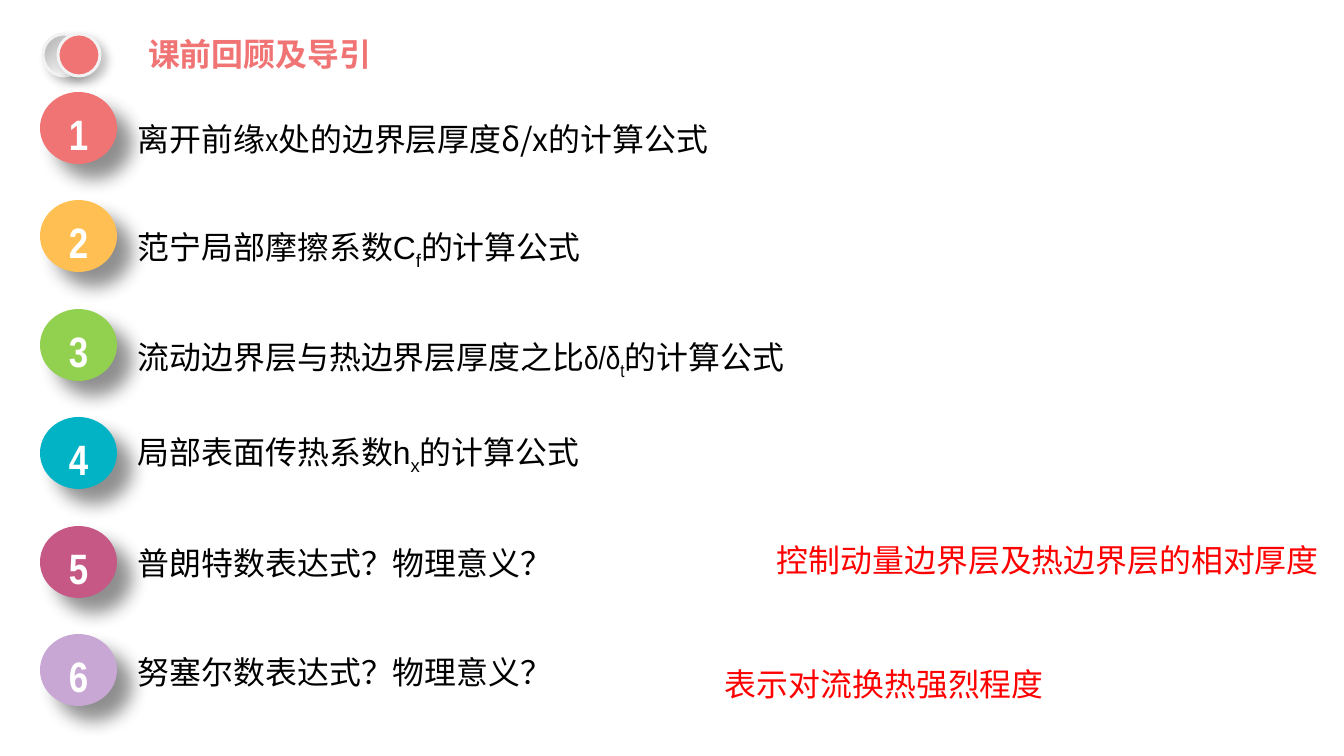
import pptx
import pptx.dml.color
import pptx.enum.shapes
import pptx.enum.text
import pptx.oxml
import pptx.oxml.ns
import pptx.util

SCALE = 914400 / 95.6
COLORS = {
    "coral": "F17475", "amber": "FFBF53", "green": "92D050",
    "teal": "01B3C5", "plum": "C65885", "lilac": "C8A7D4",
    "black": "000000", "red": "FF0000", "white": "FFFFFF",
    "silver": "BFBFBF", "rim": "F2F2F2",
}
NARROW = "Arial Narrow"
SANS = "Arial"
CHINESE = "Noto Sans CJK SC"
BALL_SHADOW = (43, 14, 16)
BADGE_SHADOW = (23, 7, 5.9)


def px(length):
    return pptx.util.Emu(round(length * SCALE))


def rgb(name):
    return pptx.dml.color.RGBColor.from_string(COLORS[name])


def add_span(para, text, size=24, font=NARROW, color="black", bold=False, subscript=False):
    span = para.add_run()
    span.text = text
    span.font.size = pptx.util.Pt(size)
    span.font.bold = bold
    span.font.color.rgb = rgb(color)
    span.font.name = font
    properties = span._r.get_or_add_rPr()
    east_asian = pptx.oxml.parse_xml(
        f'<a:ea {pptx.oxml.ns.nsdecls("a")} typeface="{CHINESE}"/>')
    properties.find(pptx.oxml.ns.qn("a:latin")).addnext(east_asian)
    if subscript:
        properties.set("baseline", "-25000")


class ReviewSlide:
    def __init__(self, deck):
        self.page = deck.slides.add_slide(deck.slide_layouts[5])
        self.align = pptx.enum.text.PP_ALIGN
        self.anchor = pptx.enum.text.MSO_ANCHOR

    def frame(self, box, anchor, margins=(0, 0)):
        frame = box.text_frame
        frame.word_wrap = True
        frame.auto_size = pptx.enum.text.MSO_AUTO_SIZE.NONE
        frame.vertical_anchor = anchor
        frame.margin_left = frame.margin_right = px(margins[0])
        frame.margin_top = frame.margin_bottom = px(margins[1])
        return frame

    def title(self, text, left, top, width, height):
        box = self.page.shapes.title
        box.left, box.top, box.width, box.height = map(px, (left, top, width, height))
        para = self.frame(box, self.anchor.TOP, (10, 5)).paragraphs[0]
        para.alignment = self.align.LEFT
        para.line_spacing = 0.9
        para.space_before = pptx.util.Pt(0)
        add_span(para, text, color="coral", bold=True)

    def circle(self, left, top, width, height, shadow, color=None, rim=False):
        shape = self.page.shapes.add_shape(
            pptx.enum.shapes.MSO_SHAPE.OVAL, *map(px, (left, top, width, height)))
        if color:
            shape.fill.solid()
            shape.fill.fore_color.rgb = rgb(color)
        else:
            shape.fill.gradient()
            shape.fill.gradient_angle = 315
            stops = zip(shape.fill.gradient_stops, (0.2, 0.8), ("silver", "white"))
            for stop, position, shade in stops:
                stop.position = position
                stop.color.rgb = rgb(shade)
        if rim:
            shape.line.color.rgb = rgb("rim")
            shape.line.width = pptx.util.Pt(2.25)
        else:
            shape.line.fill.background()
        self.shadow(shape, *shadow)
        return shape

    def shadow(self, shape, opacity, blur, distance):
        shape.shadow.inherit = False
        effects = shape._element.spPr.find(pptx.oxml.ns.qn("a:effectLst"))
        effects.append(pptx.oxml.parse_xml(
            f'<a:outerShdw {pptx.oxml.ns.nsdecls("a")} blurRad="{pptx.util.Pt(blur)}" '
            f'dist="{pptx.util.Pt(distance)}" dir="2700000" algn="tl" rotWithShape="0">'
            f'<a:srgbClr val="{COLORS["black"]}"><a:alpha val="{opacity * 1000}"/>'
            '</a:srgbClr></a:outerShdw>'))

    def ball(self, number, color, left, top):
        shape = self.circle(left, top, 77, 72, BALL_SHADOW, color)
        para = self.frame(shape, self.anchor.MIDDLE).paragraphs[0]
        para.alignment = self.align.CENTER
        para.line_spacing = 1.2
        add_span(para, str(number), size=32, color="white", bold=True)

    def line(self, spans, left, top, width):
        box = self.page.shapes.add_textbox(*map(px, (left, top, width, 46)))
        para = self.frame(box, self.anchor.TOP).paragraphs[0]
        para.alignment = self.align.JUSTIFY
        para.line_spacing = 1.2
        for text, style in spans:
            add_span(para, text, **style)


FORMULA = ("的计算公式", {"font": CHINESE})
TOPICS = [
    ("coral", 112, [("离开前缘x处的边界层厚度", {}), ("δ/x的计算公式", {"font": CHINESE})]),
    ("amber", 219, [("范宁局部摩擦系数", {}), ("C", {"font": SANS}),
                    ("f", {"font": SANS, "subscript": True}), FORMULA]),
    ("green", 329, [("流动边界层与热边界层厚度之比δ/δ", {}), ("t", {"subscript": True}), FORMULA]),
    ("teal", 424, [("局部表面传热系数", {}), ("h", {"font": SANS}),
                   ("x", {"font": SANS, "subscript": True}), FORMULA]),
    ("plum", 536, [("普朗特数表达式？物理意义？", {})]),
    ("lilac", 645, [("努塞尔数表达式？物理意义？", {"font": CHINESE})]),
]
ANSWERS = [
    ("控制动量边界层及热边界层的相对厚度", 777, 533, 549),
    ("表示对流换热强烈程度", 725, 657, 373),
]


def main():
    deck = pptx.Presentation()
    deck.slide_width, deck.slide_height = px(1344), px(756)
    review = ReviewSlide(deck)
    review.circle(43, 34, 42, 42, BADGE_SHADOW, rim=True)
    review.circle(58, 34, 42, 42, BADGE_SHADOW, "coral", rim=True)
    review.title("课前回顾及导引", 138, 34, 272, 53)
    for index, (color, top, spans) in enumerate(TOPICS):
        review.ball(index + 1, color, 40, round(92 + 108.4 * index))
        review.line(spans, 138, top, 700 if index < 4 else 446)
    for text, left, top, width in ANSWERS:
        review.line([(text, {"color": "red"})], left, top, width)
    deck.save("out.pptx")


if __name__ == "__main__":
    main()
